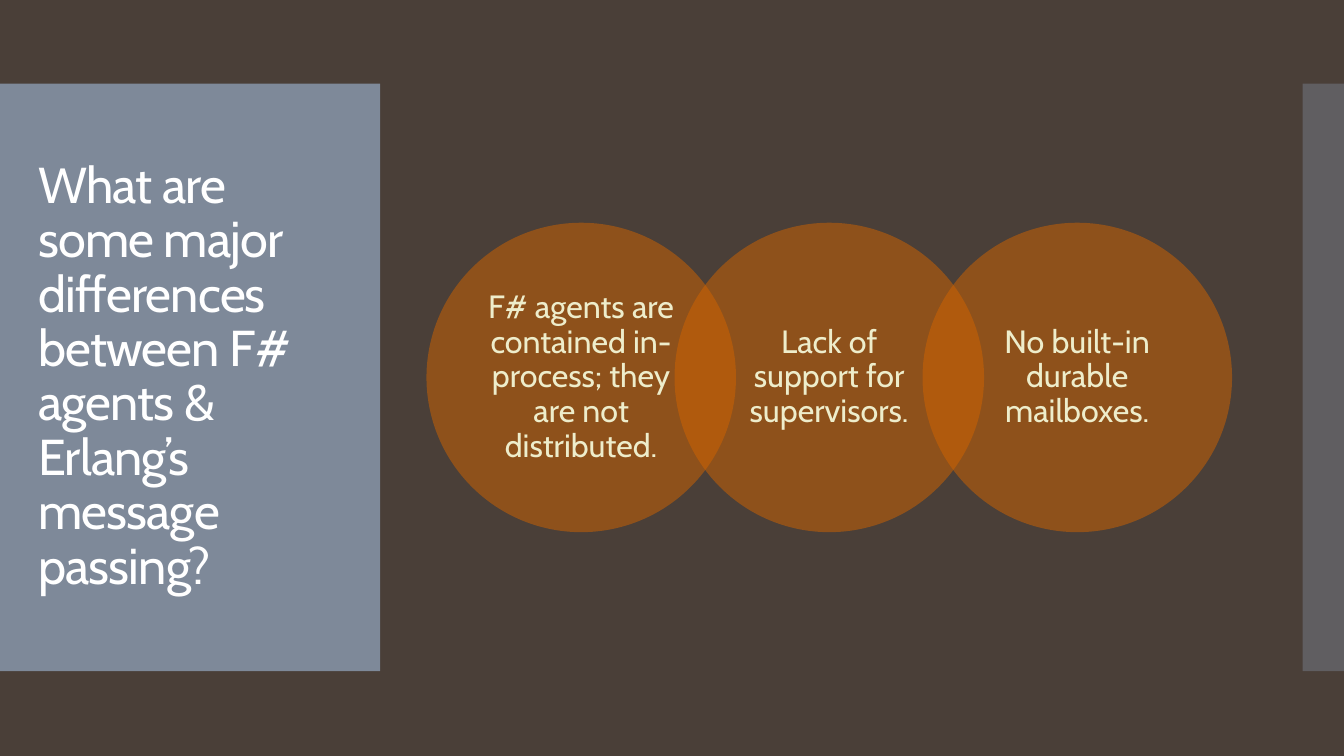
from pptx import Presentation
from pptx.dml.color import RGBColor
from pptx.enum import shapes, text
from pptx.oxml.ns import qn
from pptx.util import Inches, Pt
from lxml import etree

COLORS = {
    "background": "4A3F38",
    "panel": "818E9F",
    "circle": "D26400",
    "title": "FFFFFF",
    "label": "EEEDCB",
}
FONT = "Cabin"
TITLE = ("What are some major differences between F# agents "
         "& Erlang’s message passing?")
DIFFERENCES = [
    "F# agents are contained in-process; they are not distributed.",
    "Lack of support for supervisors.",
    "No built-in durable mailboxes.",
]
CIRCLE_LEFT, CIRCLE_TOP, CIRCLE_SIZE, CIRCLE_STEP = 4.23, 2.21, 3.07, 2.46


def color(name):
    return RGBColor.from_string(COLORS[name])


def add_translucent(page, kind, left, top, width, height, fill, opacity):
    """Add a borderless shape whose fill has the given opacity in percent."""
    shape = page.shapes.add_shape(kind, Inches(left), Inches(top),
                                  Inches(width), Inches(height))
    shape.shadow.inherit = False
    shape.line.fill.background()
    shape.fill.solid()
    shape.fill.fore_color.rgb = color(fill)
    tint = shape.fill._xPr.find(qn("a:solidFill"))[0]
    etree.SubElement(tint, qn("a:alpha"), val=str(opacity * 1000))
    return shape


def write(shape, wording, size, ink, align):
    """Fill a shape with one vertically centred paragraph and return its run."""
    frame = shape.text_frame
    frame.word_wrap = True
    frame.vertical_anchor = text.MSO_ANCHOR.MIDDLE
    para = frame.paragraphs[0]
    para.alignment = align
    para.line_spacing = 0.9
    para.font.name = FONT
    para.font.size = Pt(size)
    para.font.color.rgb = color(ink)
    span = para.add_run()
    span.text = wording
    return span


def add_panel(page, left, width, opacity):
    add_translucent(page, shapes.MSO_SHAPE.RECTANGLE, left, 0.83, width, 5.83,
                    "panel", opacity)


def add_title(page):
    box = page.shapes.add_textbox(Inches(0.28), Inches(1.23),
                                  Inches(3.22), Inches(5.03))
    span = write(box, TITLE, 36, "title", text.PP_ALIGN.LEFT)
    span.font._element.set("spc", "-60")


def add_circle(page, index, wording):
    circle = add_translucent(page, shapes.MSO_SHAPE.OVAL,
                             CIRCLE_LEFT + index * CIRCLE_STEP, CIRCLE_TOP,
                             CIRCLE_SIZE, CIRCLE_SIZE, "circle", 50)
    frame = circle.text_frame
    frame.margin_left = frame.margin_right = Inches(0.16)
    frame.margin_top = frame.margin_bottom = Inches(0.03)
    write(circle, wording, 23, "label", text.PP_ALIGN.CENTER)


def main():
    deck = Presentation()
    deck.slide_width, deck.slide_height = Inches(13.33), Inches(7.5)
    page = deck.slides.add_slide(deck.slide_layouts[6])
    page.background.fill.solid()
    page.background.fill.fore_color.rgb = color("background")

    add_panel(page, 0, 3.77, 95)
    add_panel(page, 12.92, 0.41, 40)
    add_title(page)
    for index, wording in enumerate(DIFFERENCES):
        add_circle(page, index, wording)
    deck.save("out.pptx")


if __name__ == "__main__":
    main()
